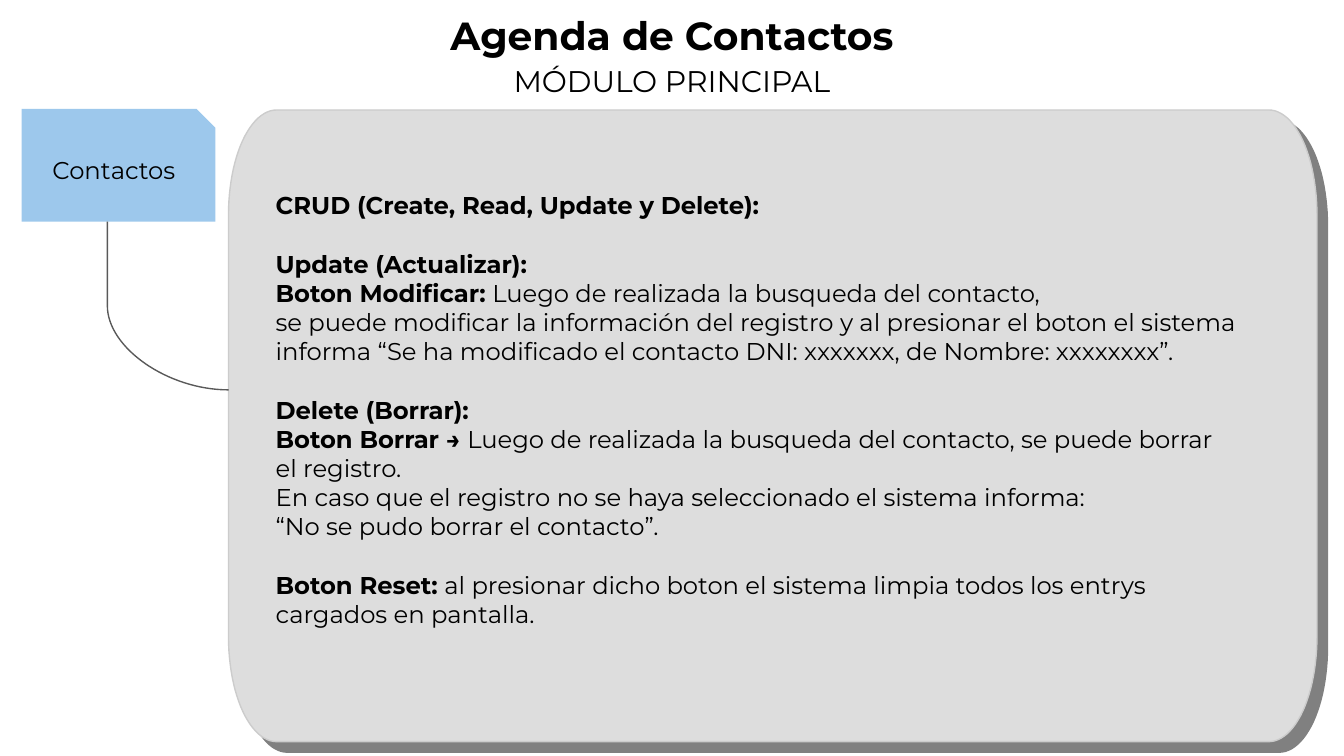
import math

from lxml import etree
from pptx import Presentation
from pptx.dml.color import RGBColor
from pptx.enum.shapes import MSO_CONNECTOR, MSO_SHAPE
from pptx.enum.text import MSO_ANCHOR, MSO_AUTO_SIZE, PP_ALIGN
from pptx.oxml.ns import qn
from pptx.util import Cm, Pt

CENTER, LEFT = PP_ALIGN.CENTER, PP_ALIGN.LEFT
MIDDLE, TOP = MSO_ANCHOR.MIDDLE, MSO_ANCHOR.TOP
NO_FIT = MSO_AUTO_SIZE.NONE
SNIPPED = MSO_SHAPE.SNIP_1_RECTANGLE
CURVE = MSO_CONNECTOR.CURVE
TWO_CONTENT = 3

FONT = "Montserrat"
COLORS = {
    "text": "000000",
    "panel": "DDDDDD",
    "panel_line": "CCCCCC",
    "shadow": "808080",
    "tab": "9DC8EC",
    "connector": "595959",
}
BODY_SIZE = 13
GROUP_GAP = 15.7

# Each group is a list of lines; each line is a (bold, regular) pair.
GROUPS = [
    [("CRUD (Create, Read, Update y Delete):", "")],
    [
        ("Update (Actualizar):", ""),
        ("Boton Modificar: ", "Luego de realizada la busqueda del contacto,"),
        ("", "se puede modificar la información del registro y al presionar el boton el sistema"),
        ("", "informa “Se ha modificado el contacto DNI: xxxxxxx, de Nombre: xxxxxxxx”."),
    ],
    [
        ("Delete (Borrar):", ""),
        ("Boton Borrar → ", "Luego de realizada la busqueda del contacto, se puede borrar"),
        ("", "el registro."),
        ("", "En caso que el registro no se haya seleccionado el sistema informa:"),
        ("", "“No se pudo borrar el contacto”."),
    ],
    [
        ("Boton Reset: ", "al presionar dicho boton el sistema limpia todos los entrys"),
        ("", "cargados en pantalla."),
    ],
]


def color(name):
    return RGBColor.from_string(COLORS[name])


def set_attributes(target, values):
    for name, value in values.items():
        setattr(target, name, value)


def place(shape, box):
    names = ("left", "top", "width", "height")
    set_attributes(shape, dict(zip(names, map(Cm, box))))


def format_frame(shape, anchor, margin):
    values = {"word_wrap": True, "auto_size": NO_FIT, "vertical_anchor": anchor}
    for side in ("left", "top", "right", "bottom"):
        values[f"margin_{side}"] = Cm(margin)
    set_attributes(shape.text_frame, values)


def format_paragraph(paragraph, alignment, space_before=0):
    """Align a paragraph and clear its inherited bullet, indent and spacing."""
    set_attributes(paragraph, {
        "alignment": alignment,
        "space_before": Pt(space_before),
        "space_after": Pt(0),
        "line_spacing": 1.0,
    })
    properties = paragraph._p.get_or_add_pPr()
    properties.set("marL", "0")
    properties.set("indent", "0")
    etree.SubElement(properties, qn("a:buNone"))


def add_run(paragraph, text, size, bold=False):
    run = paragraph.add_run()
    run.text = text
    set_attributes(run.font, {"name": FONT, "size": Pt(size), "bold": bold})
    run.font.color.rgb = color("text")


def write_line(shape, box, text, size, bold=False):
    place(shape, box)
    format_frame(shape, MIDDLE, 0.25)
    paragraph = shape.text_frame.paragraphs[0]
    format_paragraph(paragraph, CENTER)
    add_run(paragraph, text, size, bold)


def add_header(slide, box):
    left, top, width, height = box
    line_height = 1.12
    subtitle_top = top + height - line_height
    write_line(slide.shapes.title, (left, top, width, line_height),
               "Agenda de Contactos", 21, True)
    write_line(slide.placeholders[1], (left, subtitle_top, width, line_height),
               "MÓDULO PRINCIPAL", 16)


def add_hard_shadow(shape):
    effects = etree.SubElement(shape._element.spPr, qn("a:effectLst"))
    shadow = etree.SubElement(effects, qn("a:outerShdw"), blurRad="0",
                              dist=str(Pt(8)), dir=str(45 * 60000),
                              algn="bl", rotWithShape="0")
    etree.SubElement(shadow, qn("a:srgbClr"), val=COLORS["shadow"])


def panel_outline(box, radius_x, radius_y, steps=24):
    """Return the points of a rectangle with elliptical corners, clockwise."""
    left, top, width, height = box
    near_x, far_x = left + radius_x, left + width - radius_x
    near_y, far_y = top + radius_y, top + height - radius_y
    centers = [(near_x, near_y), (far_x, near_y), (far_x, far_y), (near_x, far_y)]
    points = []
    for corner, (center_x, center_y) in enumerate(centers):
        for step in range(steps + 1):
            angle = math.pi / 2 * (corner + 2 + step / steps)
            points.append((Cm(center_x + radius_x * math.cos(angle)),
                           Cm(center_y + radius_y * math.sin(angle))))
    return points


def add_panel(slide, box):
    start, *others = panel_outline(box, 0.91, 1.98)
    builder = slide.shapes.build_freeform(*start)
    builder.add_line_segments(others, close=True)
    panel = builder.convert_to_shape()
    panel.fill.solid()
    panel.fill.fore_color.rgb = color("panel")
    panel.line.color.rgb = color("panel_line")
    panel.line.width = Pt(0.75)
    add_hard_shadow(panel)


def add_panel_text(slide, box):
    left, top, width, height = box
    body = slide.placeholders[2]
    place(body, (left + 0.89, top + 1.52, width - 1.77, height - 3.04))
    format_frame(body, TOP, 0)
    frame = body.text_frame
    body._element.getparent().append(body._element)  # in front of the panel
    paragraph = frame.paragraphs[0]
    for group_index, group in enumerate(GROUPS):
        for line_index, (bold_text, regular_text) in enumerate(group):
            if group_index or line_index:
                paragraph = frame.add_paragraph()
            starts_group = group_index > 0 and line_index == 0
            format_paragraph(paragraph, LEFT, GROUP_GAP if starts_group else 0)
            for text, bold in ((bold_text, True), (regular_text, False)):
                if text:
                    add_run(paragraph, text, BODY_SIZE, bold)


def add_tab(slide, box):
    tab = slide.shapes.add_shape(SNIPPED, *map(Cm, box))
    tab.shadow.inherit = False
    tab.fill.solid()
    tab.fill.fore_color.rgb = color("tab")
    tab.line.fill.background()
    write_line(tab, box, "Contactos", BODY_SIZE)


def add_curve(slide, box):
    """Draw a curve that leaves the tab downwards and meets the panel."""
    left, top, width, height = box
    curve = slide.shapes.add_connector(
        CURVE, Cm(left), Cm(top), Cm(left + width), Cm(top + height))
    curve.line.color.rgb = color("connector")
    curve.line.width = Pt(0.75)
    properties = curve._element.spPr
    etree.SubElement(properties, qn("a:effectLst"))
    adjustments = properties.find(qn("a:prstGeom")).find(qn("a:avLst"))
    etree.SubElement(adjustments, qn("a:gd"), name="adj1", fmla="val 0")


def main():
    presentation = Presentation()
    presentation.slide_width, presentation.slide_height = Cm(25.4), Cm(14.29)
    slide = presentation.slides.add_slide(presentation.slide_layouts[TWO_CONTENT])
    panel_box = (4.32, 2.08, 20.57, 11.94)
    add_header(slide, (0, 0.1, 25.4, 1.98))
    add_panel(slide, panel_box)
    add_panel_text(slide, panel_box)
    add_tab(slide, (0.41, 2.06, 3.66, 2.13))
    add_curve(slide, (2.03, 4.19, 2.29, 3.18))
    presentation.save("out.pptx")


if __name__ == "__main__":
    main()
